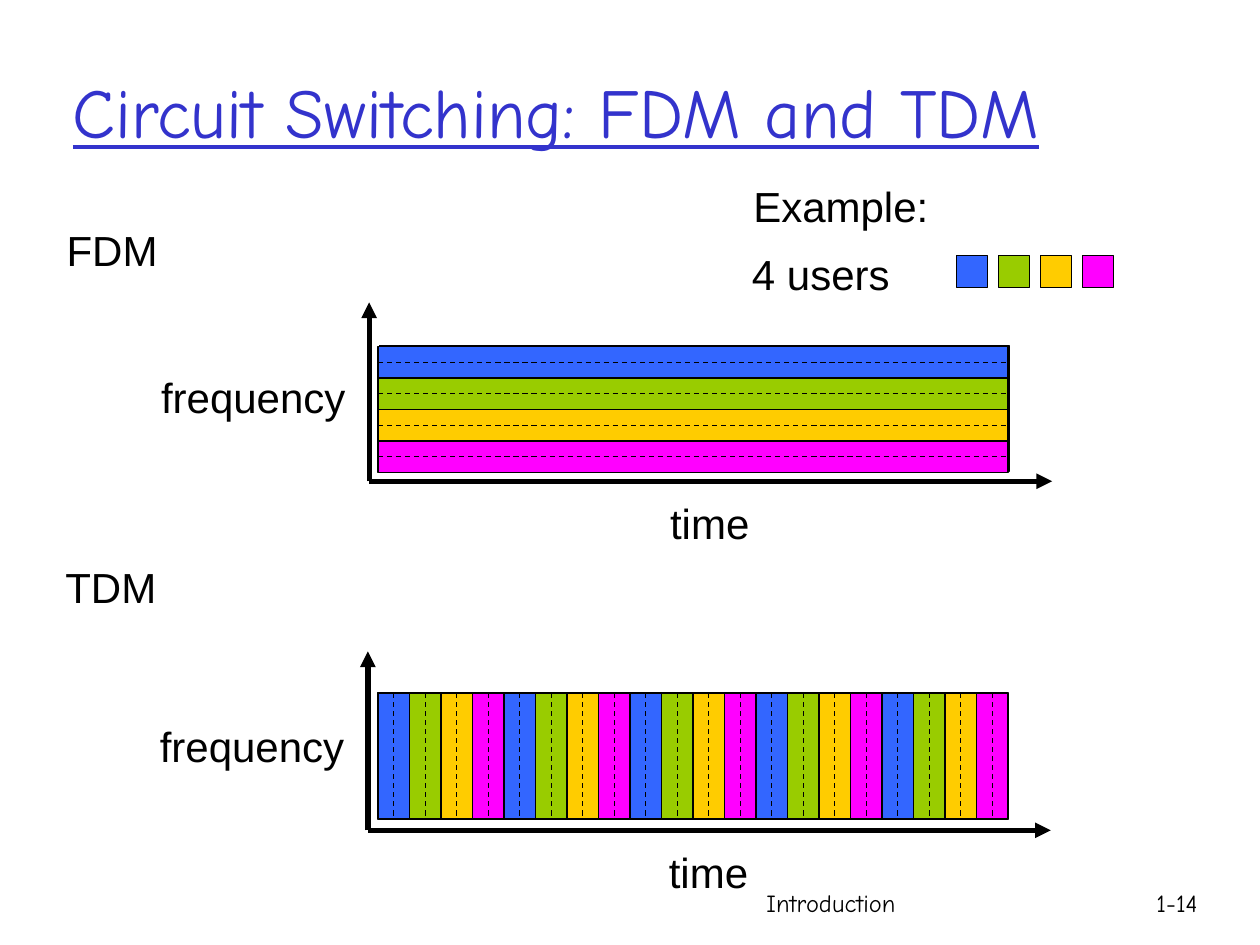
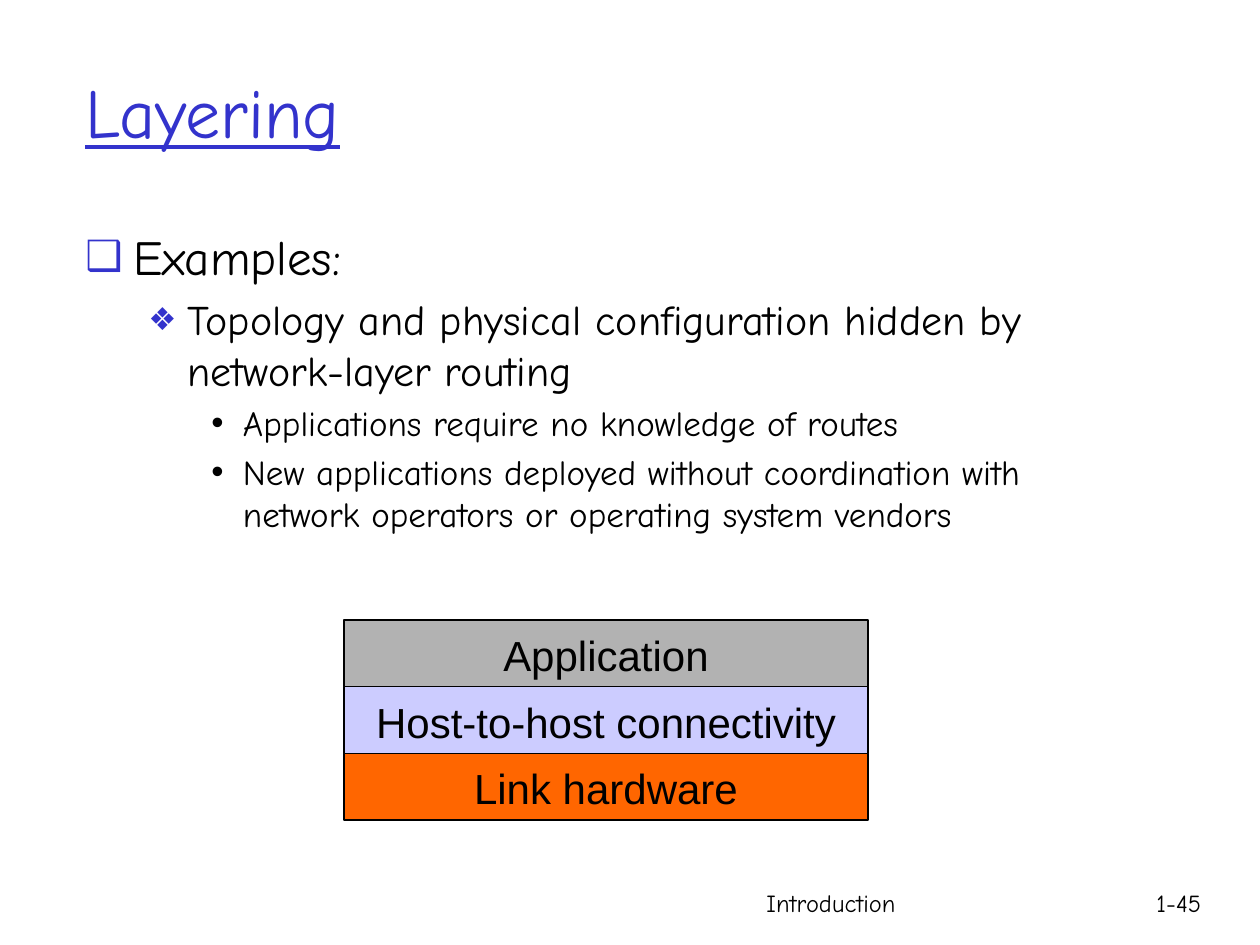
from lxml import etree
from pptx import Presentation
from pptx import util as u
from pptx.dml.color import RGBColor
from pptx.enum import dml, shapes, text
from pptx.oxml.ns import qn

HAND, PLAIN = "Comic Neue", "Arial"
BLACK, TITLE_BLUE, BACKDROP = "000000", "3333CC", "00CC99"
USERS = ["3366FF", "99CC00", "FFCC00", "FF00FF"]
FOOTER = " Introduction"

FDM_TDM = {"title": "Circuit Switching: FDM and TDM", "left": 0.48, "width": 9.26, "number": "1-14"}
LAYERING = {"title": "Layering", "left": 0.58, "width": 8.5, "number": "1-45"}

# Axis origin, top of the name, corner of the backdrop, top of the bands
DIAGRAMS = [
    {"name": "FDM", "origin": (2.93, 3.82), "name_top": 1.73, "backdrop": (3.01, 2.74),
     "top": 2.75, "bands": 4, "stacked": True},
    {"name": "TDM", "origin": (2.92, 6.59), "name_top": 4.41, "backdrop": (3, 5.5),
     "top": 5.5, "bands": 20, "stacked": False},
]
BAND_LEFT, BAND_AREA, BAND_STEP = 3, (5, 1), 0.25

OUTLINE = [
    (0, "Examples:"),
    (1, "Topology and physical configuration hidden by network-layer routing"),
    (2, "Applications require no knowledge of routes"),
    (2, "New applications deployed without coordination with "
        "network operators or operating system vendors"),
]
# Text size, left margin, hanging indent, bullet, bullet colour, bullet size in percent
LEVELS = [
    (28, 0.38, 0.38, "❑", TITLE_BLUE, 85),
    (24, 0.81, 0.31, "❖", TITLE_BLUE, 75),
    (20, 1.25, 0.25, "•", BLACK, 100),
]

LAYERS = [("Application", "B2B2B2"), ("Host-to-host connectivity", "CCCCFF"), ("Link hardware", "FF6600")]
LAYER_LEFT, LAYER_TOP, LAYER_WIDTH, LAYER_HEIGHT = 2.73, 4.92, 4.16, 0.53


def color(value):
    return RGBColor.from_string(value)


def style(para, size, font=PLAIN, fill=BLACK):
    para.font.size = u.Pt(size)
    para.font.name = font
    para.font.color.rgb = color(fill)


def add_text(page, words, left, top, width, height=0.5, size=24, font=PLAIN, fill=BLACK, wrap=False):
    box = page.shapes.add_textbox(*map(u.Inches, (left, top, width, height)))
    box.text_frame.word_wrap = wrap
    para = box.text_frame.paragraphs[0]
    para.text = words
    style(para, size, font, fill)
    return box


def add_box(page, left, top, width, height, fill):
    box = page.shapes.add_shape(shapes.MSO_SHAPE.RECTANGLE, *map(u.Inches, (left, top, width, height)))
    box.shadow.inherit = False
    box.fill.solid()
    box.fill.fore_color.rgb = color(fill)
    box.line.color.rgb = color(BLACK)
    box.line.width = u.Pt(0.75)
    return box


def add_line(page, start, end, width=0.75, dashed=False, arrow=False):
    line = page.shapes.add_connector(shapes.MSO_CONNECTOR.STRAIGHT, *map(u.Inches, (*start, *end)))
    line.line.color.rgb = color(BLACK)
    line.line.width = u.Pt(width)
    if dashed:
        line.line.dash_style = dml.MSO_LINE.DASH
    if arrow:
        etree.SubElement(line.line._get_or_add_ln(), qn("a:tailEnd"), type="triangle")
    etree.SubElement(line._element.spPr, qn("a:effectLst"))


def add_page(deck, head):
    """Add a blank page with the shared title and footer."""
    page = deck.slides.add_slide(deck.slide_layouts[6])
    add_text(page, FOOTER, 5.92, 7, 3.17, size=14, font=HAND, wrap=True)
    add_text(page, head["number"], 9.08, 7, 0.68, size=14, font=HAND, wrap=True)
    title = add_text(page, head["title"], head["left"], 0.25, head["width"], 1.25, 40, HAND, TITLE_BLUE, True)
    title.text_frame.vertical_anchor = text.MSO_ANCHOR.MIDDLE
    title.text_frame.paragraphs[0].font.underline = True
    return page


def add_diagram(page, diagram):
    """Draw labelled axes and the bands that the users share in turn."""
    x, y = diagram["origin"]
    add_text(page, diagram["name"], x - 2.5, diagram["name_top"], 0.92)
    add_text(page, "frequency", x - 1.75, y - 0.92, 1.67)
    add_text(page, "time", x + 2.29, y + 0.08, 0.83)
    for end in ((x, y - 1.42), (x + 5.42, y)):
        add_line(page, (x, y), end, width=3, arrow=True)

    top, stacked, count = diagram["top"], diagram["stacked"], diagram["bands"]
    width, height = BAND_AREA
    add_box(page, *diagram["backdrop"], width, height, BACKDROP)
    for i in range(count):
        shift = i * BAND_STEP
        place = ((BAND_LEFT, top + shift, width, BAND_STEP) if stacked
                 else (BAND_LEFT + shift, top, BAND_STEP, height))
        add_box(page, *place, USERS[i % len(USERS)])
    # Solid lines part the bands, dashed lines halve them
    for i in range(1, 2 * count):
        shift = i * BAND_STEP / 2
        if stacked:
            start, end = (BAND_LEFT, top + shift), (BAND_LEFT + width, top + shift)
        else:
            start, end = (BAND_LEFT + shift, top), (BAND_LEFT + shift, top + height)
        add_line(page, start, end, dashed=i % 2 == 1)


def add_legend(page):
    add_text(page, "Example:", 5.88, 1.38, 1.59)
    add_text(page, "4 users", 5.87, 1.92, 1.3)
    for i, user in enumerate(USERS):
        add_box(page, 7.59 + i / 3, 2.03, 0.25, 0.25, user)


def set_bullet(para, margin, hang, sign, fill, percent):
    props = para._p.get_or_add_pPr()
    props.set("marL", str(u.Inches(margin)))
    props.set("indent", str(-u.Inches(hang)))
    tint = etree.SubElement(props, qn("a:buClr"))
    etree.SubElement(tint, qn("a:srgbClr"), val=fill)
    etree.SubElement(props, qn("a:buSzPct"), val=str(percent * 1000))
    etree.SubElement(props, qn("a:buFont"), typeface=PLAIN)
    etree.SubElement(props, qn("a:buChar"), char=sign)


def add_outline(page):
    box = page.shapes.add_textbox(*map(u.Inches, (0.58, 1.75, 8.5, 5.08)))
    frame = box.text_frame
    frame.word_wrap = True
    for i, (level, words) in enumerate(OUTLINE):
        para = frame.add_paragraph() if i else frame.paragraphs[0]
        size, *bullet = LEVELS[level]
        para.text = words
        para.level = level
        set_bullet(para, *bullet)
        para.space_before = u.Pt(size * 0.2)
        style(para, size, HAND)


def add_layers(page):
    for i, (words, fill) in reversed(list(enumerate(LAYERS))):
        box = add_box(page, LAYER_LEFT, LAYER_TOP + i * LAYER_HEIGHT, LAYER_WIDTH, LAYER_HEIGHT, fill)
        box.text_frame.vertical_anchor = text.MSO_ANCHOR.MIDDLE
        para = box.text_frame.paragraphs[0]
        para.text = words
        para.alignment = text.PP_ALIGN.CENTER
        para.line_spacing = 1.05
        style(para, 24)


def main():
    deck = Presentation()
    deck.slide_width, deck.slide_height = u.Inches(10), u.Inches(7.5)

    page = add_page(deck, FDM_TDM)
    for diagram in DIAGRAMS:
        add_diagram(page, diagram)
    add_legend(page)

    page = add_page(deck, LAYERING)
    add_outline(page)
    add_layers(page)
    deck.save("out.pptx")


if __name__ == "__main__":
    main()
